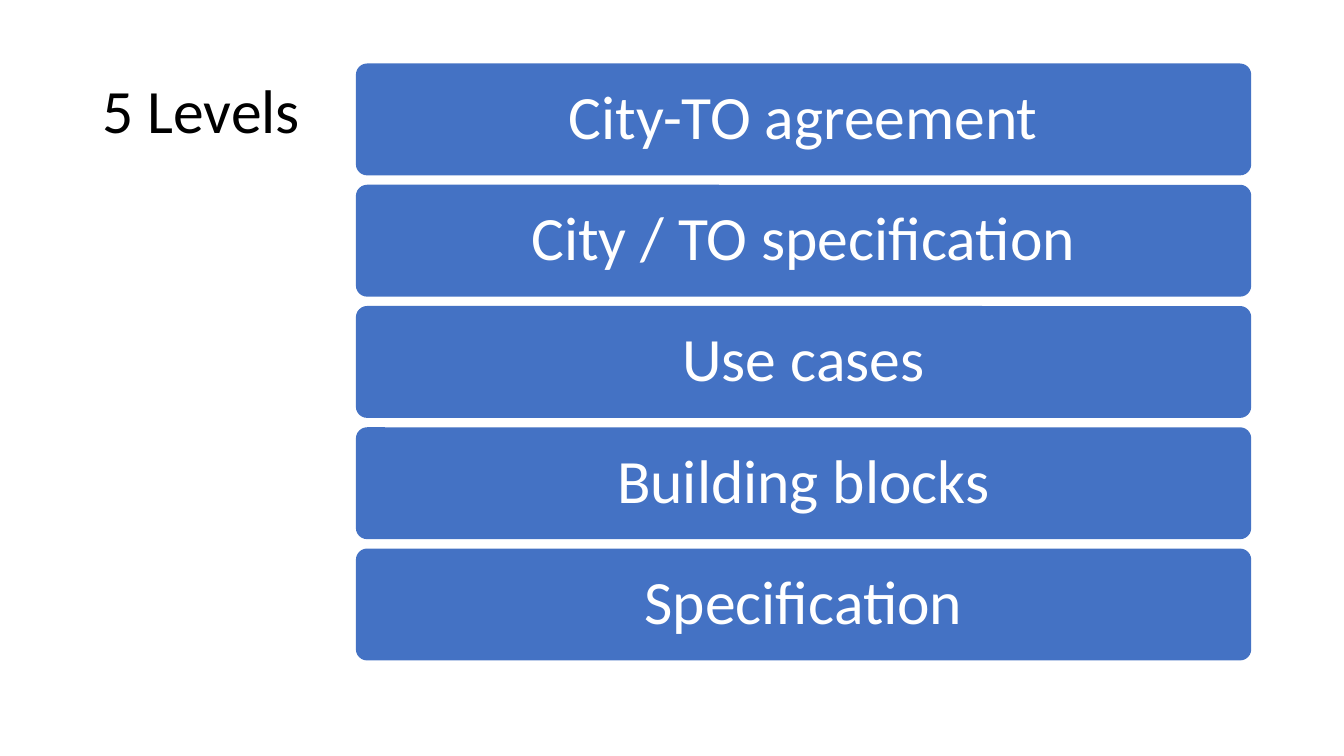
import dataclasses

import pptx
import pptx.dml.color
import pptx.enum.shapes
import pptx.enum.text
import pptx.util

LEVELS = ("City-TO agreement", "City / TO specification", "Use cases",
          "Building blocks", "Specification")


@dataclasses.dataclass(frozen=True)
class Theme:
    """Colours, type and slide size, in points and inches."""
    font: str = "Calibri"
    size: float = 44
    line_spacing: float = 0.9
    ink: str = "000000"
    bar: str = "4472C4"
    bar_ink: str = "FFFFFF"
    width: float = 13.33
    height: float = 7.5


@dataclasses.dataclass(frozen=True)
class Stack:
    """Column of equal bars, in inches; pitch is the step between bar tops."""
    left: float = 3.53
    top: float = 0.63
    width: float = 8.88
    bar_height: float = 1.11
    pitch: float = 1.203
    corner: float = 0.1
    inset: float = 0.21


THEME = Theme()
STACK = Stack()
ALIGN = pptx.enum.text.PP_ALIGN


def inches(*lengths):
    """Convert several lengths to slide units."""
    return [pptx.util.Inches(length) for length in lengths]


def colour(code):
    """Turn a hexadecimal code into a colour."""
    return pptx.dml.color.RGBColor.from_string(code)


def write_text(shape, text, *, ink, align=ALIGN.LEFT, inset_x=0.1, inset_y=0.05):
    """Write one vertically centred paragraph into a shape."""
    frame = shape.text_frame
    frame.word_wrap = True
    frame.vertical_anchor = pptx.enum.text.MSO_ANCHOR.MIDDLE
    frame.margin_left = frame.margin_right = pptx.util.Inches(inset_x)
    frame.margin_top = frame.margin_bottom = pptx.util.Inches(inset_y)
    paragraph = frame.paragraphs[0]
    paragraph.alignment = align
    paragraph.line_spacing = THEME.line_spacing
    run = paragraph.add_run()
    run.text = text
    run.font.name = THEME.font
    run.font.size = pptx.util.Pt(THEME.size)
    run.font.color.rgb = colour(ink)


def add_title(slide, text):
    """Add the slide title."""
    title = slide.shapes.add_textbox(*inches(0.92, 0.4, 11.5, 1.45))
    write_text(title, text, ink=THEME.ink)


def add_level_bar(slide, row, text):
    """Add the rounded bar of one level at its row of the stack."""
    bar = slide.shapes.add_shape(
        pptx.enum.shapes.MSO_SHAPE.ROUNDED_RECTANGLE,
        *inches(STACK.left, STACK.top + row * STACK.pitch,
                STACK.width, STACK.bar_height))
    bar.adjustments[0] = STACK.corner
    bar.shadow.inherit = False
    bar.fill.solid()
    bar.fill.fore_color.rgb = colour(THEME.bar)
    bar.line.fill.background()
    write_text(bar, text, ink=THEME.bar_ink, align=ALIGN.CENTER,
               inset_x=STACK.inset, inset_y=STACK.inset)


def main():
    """Build the slide and save it."""
    presentation = pptx.Presentation()
    presentation.slide_width, presentation.slide_height = inches(
        THEME.width, THEME.height)
    slide = presentation.slides.add_slide(presentation.slide_layouts[6])
    add_title(slide, "5 Levels")
    for row, level in enumerate(LEVELS):
        add_level_bar(slide, row, level)
    presentation.save("out.pptx")


main()
